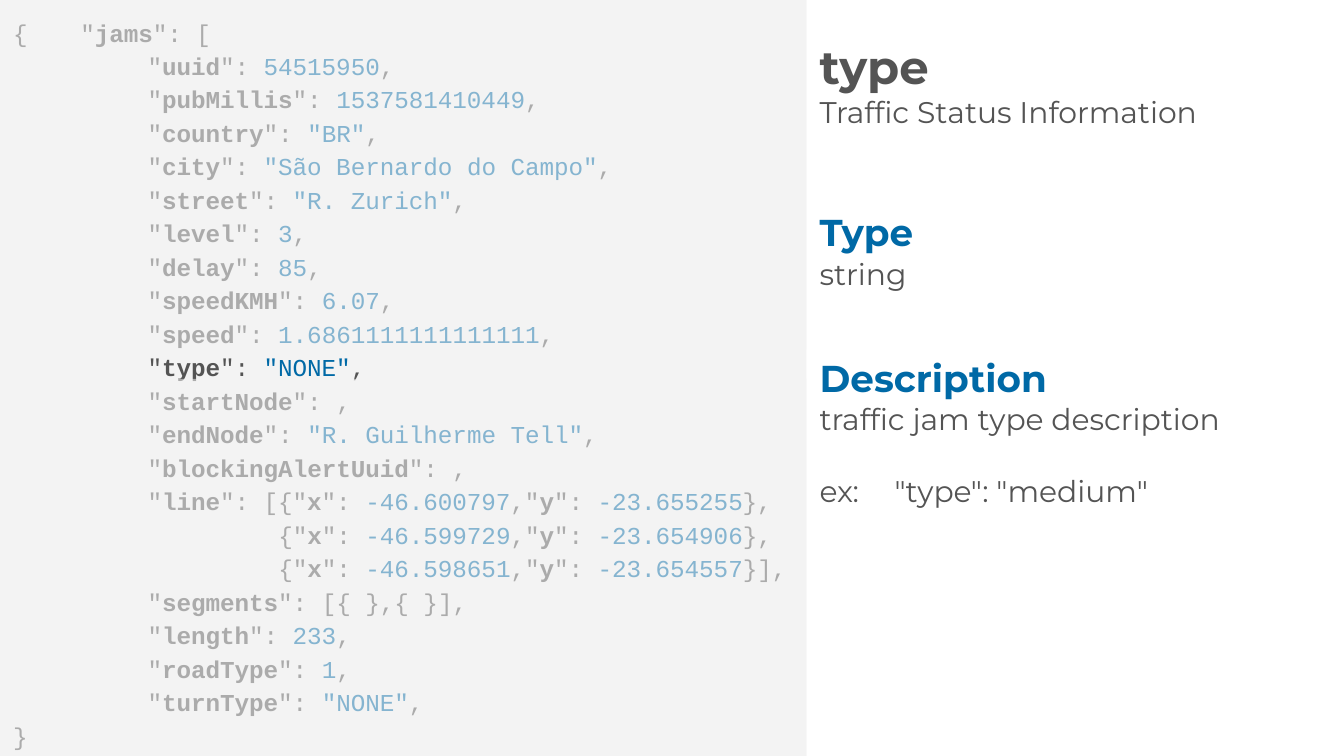
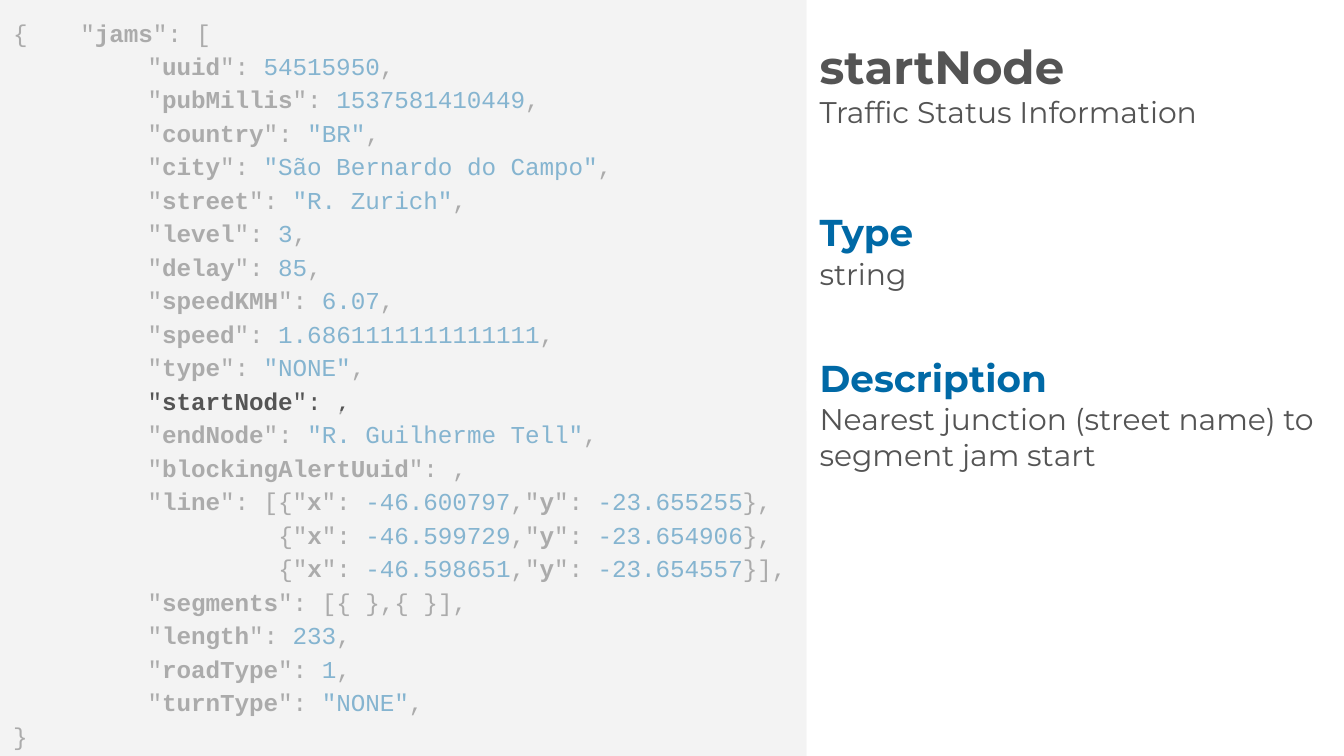
from itertools import groupby

from lxml.etree import SubElement
from pptx import Presentation
from pptx.dml.color import RGBColor
from pptx.enum.shapes import MSO_SHAPE as Preset
from pptx.enum.text import MSO_ANCHOR as Anchor, PP_ALIGN as Align
from pptx.oxml.ns import qn
from pptx.util import Inches, Pt

COLORS = {"text": "545454", "accent": "0069A6", "panel": "F3F3F3"}
CODE_FONT, BODY_FONT = "Courier New", "Montserrat"
COLUMNS = 10
CODE_COLUMNS = 6
CODE_INDENT = 1
LIT_ROWS = 0.22  # height of the code line left clear between the veils
VEIL_OPACITY = 55

JAM_CODE = """{\t"jams": [
"uuid": 54515950,
"pubMillis": 1537581410449,
"country": "BR",
"city": "São Bernardo do Campo",
"street": "R. Zurich",
"level": 3,
"delay": 85,
"speedKMH": 6.07,
"speed": 1.6861111111111111,
"type": "NONE",
"startNode": ,
"endNode": "R. Guilherme Tell",
"blockingAlertUuid": ,
"line": [{"x": -46.600797,"y": -23.655255},
         {"x": -46.599729,"y": -23.654906},
         {"x": -46.598651,"y": -23.654557}],
"segments": [{ },{ }],
"length": 233,
"roadType": 1,
"turnType": "NONE",
}"""

# field, lines of its description, row where the lower veil starts
FIELDS = [
    ("type", ["traffic jam type description", 'ex:\t "type": "medium"'], 2.82),
    ("startNode", ["Nearest junction (street name) to segment jam start"], 3.06),
]


def code_tokens(line):
    """Yield (text, bold, color) with keys bold and values in the accent colour."""
    parts = line.split('"')
    for index, part in enumerate(parts):
        if index % 2 == 0:
            for is_number, chars in groupby(part, lambda c: c in "0123456789.-"):
                yield "".join(chars), False, "accent" if is_number else "text"
        elif parts[index + 1].startswith(":"):
            yield '"', False, "text"
            yield part, True, "text"
            yield '"', False, "text"
        else:
            yield f'"{part}"', False, "accent"


class Deck:
    """Holds the style and the current slide; lengths are in square grid columns."""

    def __init__(self):
        self.prs = Presentation()
        self.prs.slide_width = Inches(10)
        self.prs.slide_height = self.prs.slide_width * 9 // 16
        self.cell = self.prs.slide_width // COLUMNS
        self.rows = self.prs.slide_height / self.cell
        self.slide = None

    def new_slide(self):
        self.slide = self.prs.slides.add_slide(self.prs.slide_layouts[6])

    def place(self, *lengths):
        return [round(length * self.cell) for length in lengths]

    def style(self, run, font, size, color="text", bold=False):
        run.font.name, run.font.size, run.font.bold = font, Pt(size), bold
        run.font.color.rgb = RGBColor.from_string(COLORS[color])

    def frame(self, shape, anchor=Anchor.TOP):
        frame = shape.text_frame
        frame.word_wrap = True
        frame.vertical_anchor = anchor
        frame.margin_left = frame.margin_right = Inches(0.1)
        frame.margin_top = frame.margin_bottom = Inches(0.1)
        return frame

    def panel(self, top=0):
        """Add a slide-high rectangle over the code columns."""
        panel = self.slide.shapes.add_shape(
            Preset.RECTANGLE, *self.place(0, top, CODE_COLUMNS, self.rows))
        panel.shadow.inherit = False
        panel.fill.solid()
        panel.fill.fore_color.rgb = RGBColor.from_string(COLORS["panel"])
        panel.line.fill.background()
        return panel

    def code(self, source):
        frame = self.frame(self.panel())
        for index, line in enumerate(source.splitlines()):
            row = frame.paragraphs[0] if index == 0 else frame.add_paragraph()
            row.alignment = Align.LEFT
            row.line_spacing = 1.15
            if line[0] not in "{}":
                row._p.get_or_add_pPr().set("marL", str(CODE_INDENT * self.cell))
            for token, bold, color in code_tokens(line):
                run = row.add_run()
                run.text = token
                self.style(run, CODE_FONT, 13, color, bold)

    def veil(self, top):
        panel = self.panel(top)
        color = panel._element.spPr.find(f".//{qn('a:srgbClr')}")
        SubElement(color, qn("a:alpha")).set("val", str(VEIL_OPACITY * 1000))

    def spotlight(self, lower_top):
        """Veil the code except for the line just above lower_top."""
        self.veil(lower_top)
        self.veil(lower_top - LIT_ROWS - self.rows)

    def text(self, top, width, height, lines, size=16, color="text",
             bold=False, anchor=Anchor.TOP):
        box = self.slide.shapes.add_textbox(
            *self.place(CODE_COLUMNS, top, width, height))
        frame = self.frame(box, anchor)
        frame.text = "\n".join(lines)
        for paragraph in frame.paragraphs:
            for run in paragraph.runs:
                self.style(run, BODY_FONT, size, color, bold)
        return frame.paragraphs

    def title(self, field):
        heading, _ = self.text(0.16, 4, 0.92, [field, "Traffic Status Information"],
                               anchor=Anchor.MIDDLE)
        self.style(heading.runs[0], BODY_FONT, 25, bold=True)

    def section(self, top, heading, lines, width, height):
        for extra in self.text(top + 0.34, width, height, lines)[1:]:
            extra.space_before = Pt(19.5)
        self.text(top, 1.93, 0.5, [heading], 20, "accent", True)


def main():
    deck = Deck()
    for field, description, lower_top in FIELDS:
        deck.new_slide()
        deck.code(JAM_CODE)
        deck.title(field)
        deck.section(1.46, "Type", ["string"], 3.6, 0.87)
        deck.section(2.54, "Description", description, 4, 2.63)
        deck.spotlight(lower_top)
    deck.prs.save("out.pptx")


if __name__ == "__main__":
    main()
